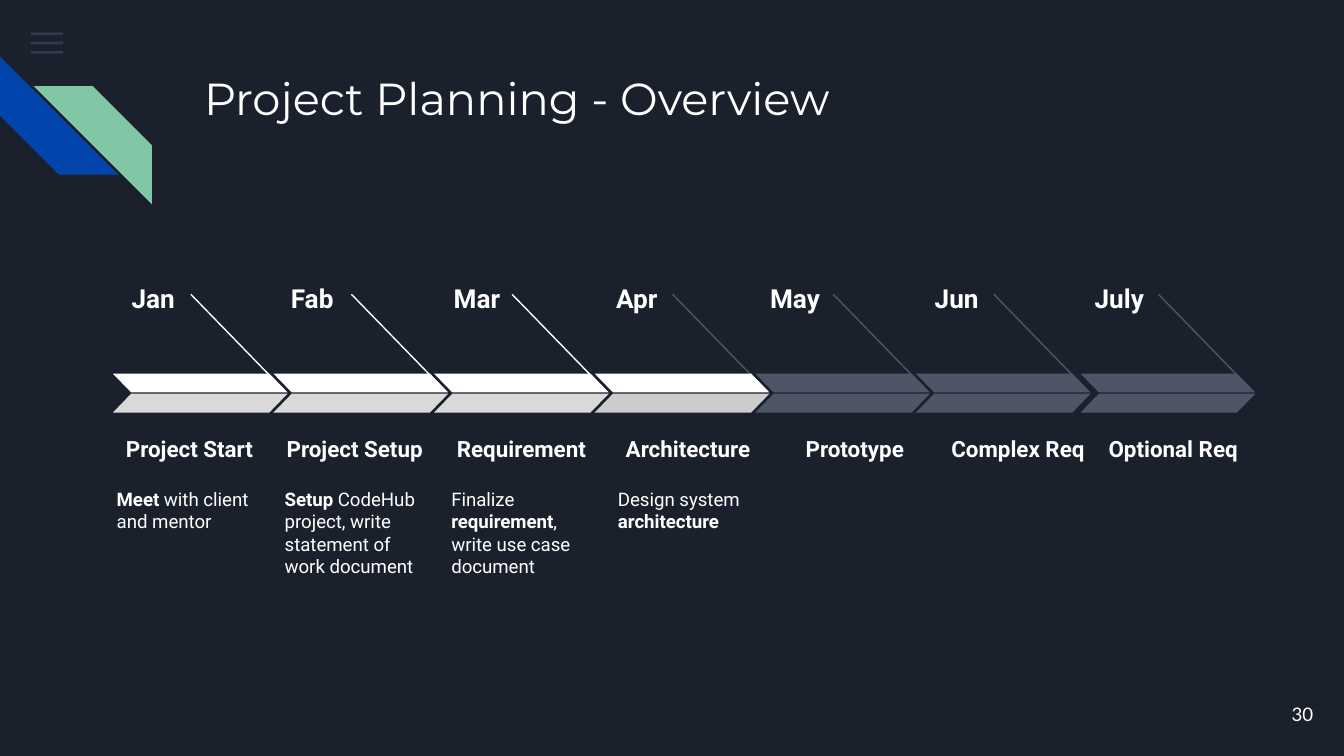
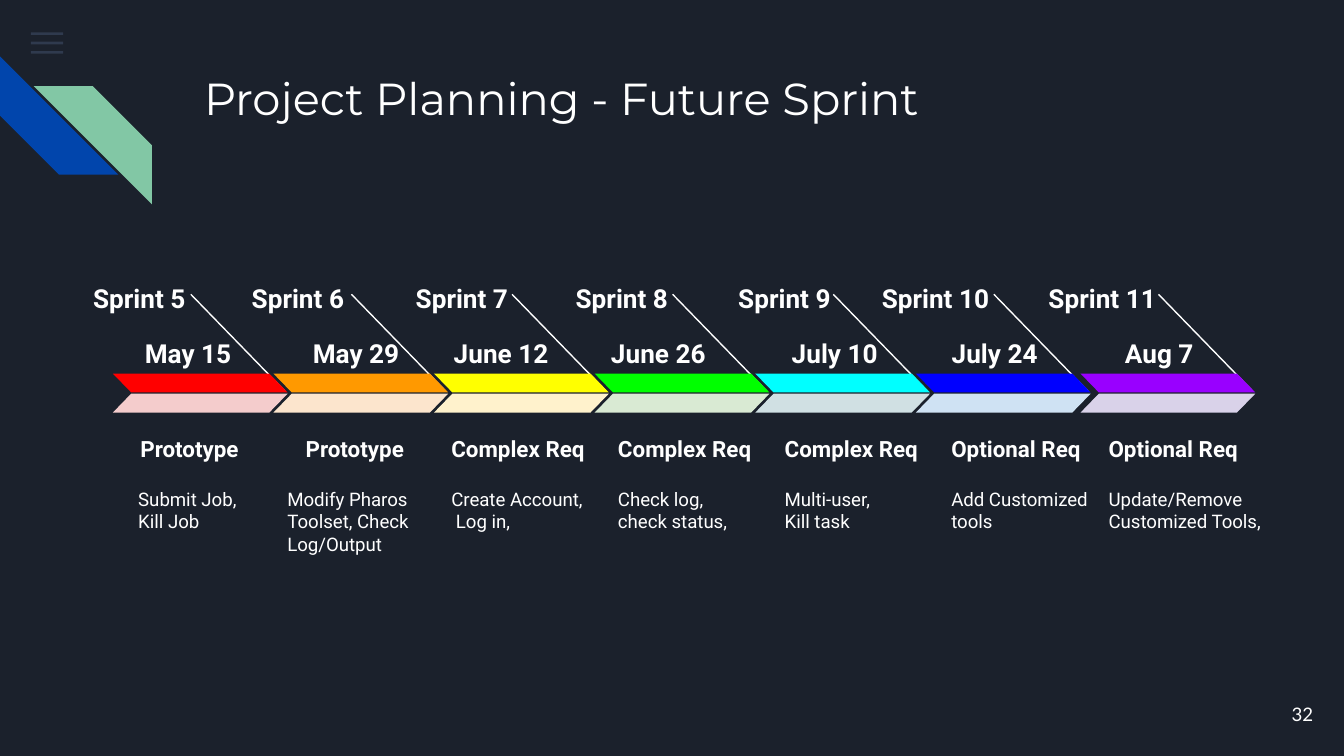
from dataclasses import dataclass

import pptx
import pptx.dml.color
import pptx.enum.shapes
import pptx.enum.text
import pptx.oxml.ns
import pptx.util
from lxml import etree

Inches = pptx.util.Inches
Shape = pptx.enum.shapes.MSO_SHAPE
Align = pptx.enum.text.PP_ALIGN
Anchor = pptx.enum.text.MSO_ANCHOR


@dataclass(frozen=True)
class Theme:
    background: str = "1B212C"
    text: str = "FFFFFF"
    menu: str = "55688B"
    blue: str = "0145AC"
    green: str = "82C7A5"
    pending: str = "4E5567"
    title_font: str = "Montserrat"
    body_font: str = "Roboto"
    number_font: str = "Lato"
    title_size: int = 24
    label_size: int = 14
    heading_size: int = 12
    detail_size: int = 10


THEME = Theme()

# Timeline grid
ARROW_LEFTS = [0.84 + 1.195 * i for i in range(6)] + [8.04]
COLUMN_LEFTS = [0.77] + [2.02 + 1.24 * i for i in range(5)] + [8.15]
COLUMN_WIDTHS = [1.28] + [1.24] * 6
MONTH_RIGHTS = [1.4, 2.58, 3.82, 4.99, 6.2, 7.38, 8.61]
SPRINT_RIGHTS = [1.48, 2.66, 3.88, 5.07, 6.28, 7.46, 8.7]
DATE_RIGHTS = [1.82, 3.07, 4.18, 5.35, 6.63, 7.82, 8.98]
ARROW_WIDTH = 1.3
ARROW_HEIGHT = 0.14


@dataclass
class Stage:
    label: str
    heading: str
    upper: str
    lower: str
    detail: tuple = ()  # (text, bold) pairs; "\n" breaks the line
    date: str = ""
    pointer: str = THEME.text
    heading_align: Align = Align.CENTER
    detail_left: float = None
    detail_width: float = None


def rgb(value):
    return pptx.dml.color.RGBColor.from_string(value)


def add_text(slide, box, runs, size, font=THEME.body_font, align=Align.LEFT,
             anchor=Anchor.TOP):
    frame = slide.shapes.add_textbox(*map(Inches, box)).text_frame
    frame.word_wrap = True
    frame.auto_size = pptx.enum.text.MSO_AUTO_SIZE.NONE
    frame.vertical_anchor = anchor
    frame.margin_left = frame.margin_right = Inches(0.1)
    frame.margin_top = frame.margin_bottom = Inches(0.1)
    paragraph = frame.paragraphs[0]
    paragraph.alignment = align
    for text, bold in runs:
        for index, line in enumerate(text.split("\n")):
            if index:
                paragraph.add_line_break()
            run = paragraph.add_run()
            run.text = line
            run.font.name = font
            run.font.size = pptx.util.Pt(size)
            run.font.bold = bold
            run.font.color.rgb = rgb(THEME.text)


def add_block(slide, kind, box, color, adjust=None, flip=False, rotation=0,
              alpha=None):
    block = slide.shapes.add_shape(kind, *map(Inches, box))
    block.shadow.inherit = False
    block.fill.solid()
    block.fill.fore_color.rgb = rgb(color)
    block.line.fill.background()
    block.rotation = rotation
    if adjust is not None:
        block.adjustments[0] = adjust
    properties = block._element.spPr
    if flip:
        properties.get_or_add_xfrm().set("flipH", "1")
    if alpha is not None:
        tint = properties.find(".//" + pptx.oxml.ns.qn("a:srgbClr"))
        etree.SubElement(tint, pptx.oxml.ns.qn("a:alpha")).set(
            "val", str(alpha * 1000))


def add_pointer(slide, left, color):
    pointer = slide.shapes.add_connector(
        pptx.enum.shapes.MSO_CONNECTOR.STRAIGHT,
        Inches(left), Inches(2.19), Inches(left + 0.7), Inches(2.91))
    pointer.line.color.rgb = rgb(color)
    pointer.line.width = pptx.util.Pt(0.75)
    etree.SubElement(pointer._element.spPr, pptx.oxml.ns.qn("a:effectLst"))


def add_frame(prs, title, number):
    """Blank slide with background, corner motif, title and page number."""
    slide = prs.slides.add_slide(prs.slide_layouts[6])
    slide.background.fill.solid()
    slide.background.fill.fore_color.rgb = rgb(THEME.background)
    # Menu mark
    for row in range(3):
        add_block(slide, Shape.RECTANGLE, (0.23, 0.24 + 0.07 * row, 0.24, 0.02),
                  THEME.menu, alpha=36)
    # Corner stripes
    add_block(slide, Shape.DIAGONAL_STRIPE, (0, 0.42, 0.88, 0.88),
              THEME.blue, adjust=0.5, rotation=270)
    add_block(slide, Shape.DIAGONAL_STRIPE, (0.25, 0.64, 0.88, 0.88),
              THEME.green, adjust=0.5, flip=True)
    add_text(slide, (1.42, 0.43, 7.7, 1), [(title, False)],
             THEME.title_size, THEME.title_font)
    add_text(slide, (9.27, 5.1, 0.6, 0.43), [(number, False)],
             THEME.detail_size, THEME.number_font, Align.RIGHT, Anchor.MIDDLE)
    return slide


def add_label(slide, text, right, top, width):
    add_text(slide, (right - width, top, width, 0.23), [(text, True)],
             THEME.label_size, align=Align.RIGHT)


def add_timeline(slide, stages, label_rights, label_width):
    for index, stage in enumerate(stages):
        # Pointer and two-part arrow
        left = ARROW_LEFTS[index]
        add_pointer(slide, left + 0.58, stage.pointer)
        for top, color, flip in ((2.78, stage.upper, True),
                                 (2.93, stage.lower, False)):
            add_block(slide, Shape.PARALLELOGRAM,
                      (left, top, ARROW_WIDTH, ARROW_HEIGHT), color,
                      adjust=0.97, flip=flip)
        # Labels above
        add_label(slide, stage.label, label_rights[index], 2, label_width)
        if stage.date:
            add_label(slide, stage.date, DATE_RIGHTS[index], 2.41, 1.37)
        # Heading and detail below
        column, width = COLUMN_LEFTS[index], COLUMN_WIDTHS[index]
        add_text(slide, (column, 3.12, width, 0.44), [(stage.heading, True)],
                 THEME.heading_size, align=stage.heading_align,
                 anchor=Anchor.MIDDLE)
        if stage.detail:
            add_text(slide, (stage.detail_left or column, 3.53,
                             stage.detail_width or width, 0.73),
                     stage.detail, THEME.detail_size)


def overview_stages():
    white, light, pending = THEME.text, "D9D9D9", THEME.pending
    return [
        Stage("Jan", "Project Start", white, light,
              (("Meet", True), (" with client and mentor", False))),
        Stage("Fab", "Project Setup", white, light,
              (("Setup", True),
               (" CodeHub project, write statement of work document", False))),
        Stage("Mar", "Requirement", white, light,
              (("Finalize ", False), ("requirement", True),
               (", write use case document", False))),
        Stage("Apr", "Architecture", white, "CCCCCC",
              (("Design system ", False), ("architecture", True)),
              pointer=pending),
        Stage("May", "Prototype", pending, pending, pointer=pending),
        Stage("Jun", "Complex Req", pending, pending, pointer=pending,
              heading_align=Align.LEFT),
        Stage("July", "Optional Req", pending, pending, pointer=pending,
              heading_align=Align.LEFT),
    ]


def sprint(number, date, heading, upper, lower, detail, **layout):
    return Stage(f"Sprint {number}", heading, upper, lower,
                 ((detail, False),), date, **layout)


def sprint_stages():
    left = {"heading_align": Align.LEFT}
    return [
        sprint(5, "May 15", "Prototype", "FF0000", "F4CCCC",
               "Submit Job,\nKill Job", detail_left=0.93),
        sprint(6, "May 29", "Prototype", "FF9900", "FCE5CD",
               "Modify Pharos Toolset, Check Log/Output",
               detail_left=2.04, detail_width=1.26),
        sprint(7, "June 12", "Complex Req", "FFFF00", "FFF2CC",
               "Create Account,\n Log in,", **left),
        sprint(8, "June 26", "Complex Req", "00FF00", "D9EAD3",
               "Check log,\ncheck status,", **left),
        sprint(9, "July 10", "Complex Req", "00FFFF", "D0E0E3",
               "Multi-user,\nKill task", **left),
        sprint(10, "July 24", "Optional Req", "0000FF", "CFE2F3",
               "Add Customized tools", **left),
        sprint(11, "Aug 7", "Optional Req", "9900FF", "D9D2E9",
               "Update/Remove Customized Tools,", detail_width=1.69, **left),
    ]


def main():
    prs = pptx.Presentation()
    prs.slide_width = Inches(10)
    prs.slide_height = prs.slide_width * 9 // 16

    overview = add_frame(prs, "Project Planning - Overview", "30")
    add_timeline(overview, overview_stages(), MONTH_RIGHTS, label_width=0.59)

    future = add_frame(prs, "Project Planning - Future Sprint", "32")
    add_timeline(future, sprint_stages(), SPRINT_RIGHTS, label_width=1.2)

    prs.save("out.pptx")


if __name__ == "__main__":
    main()
